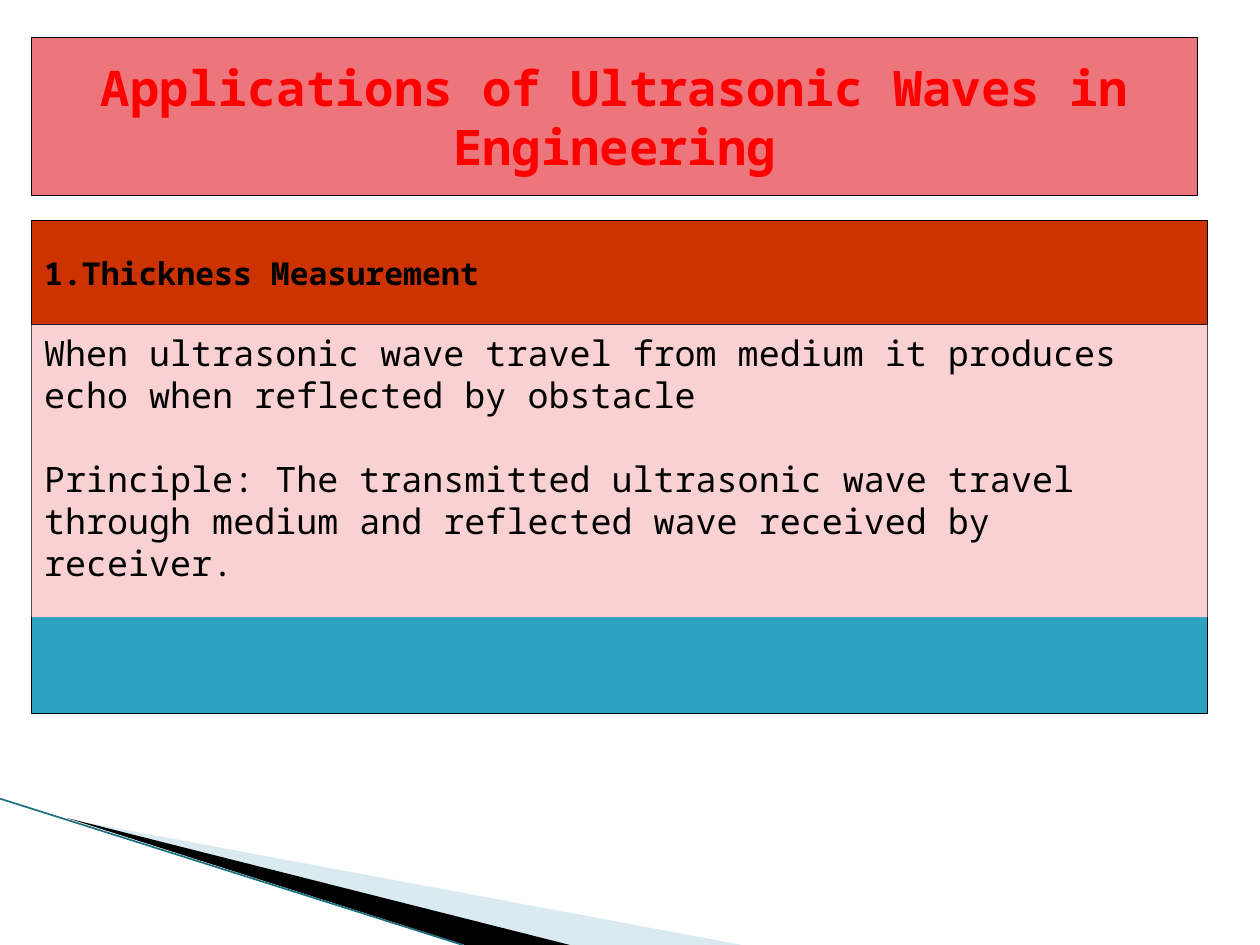
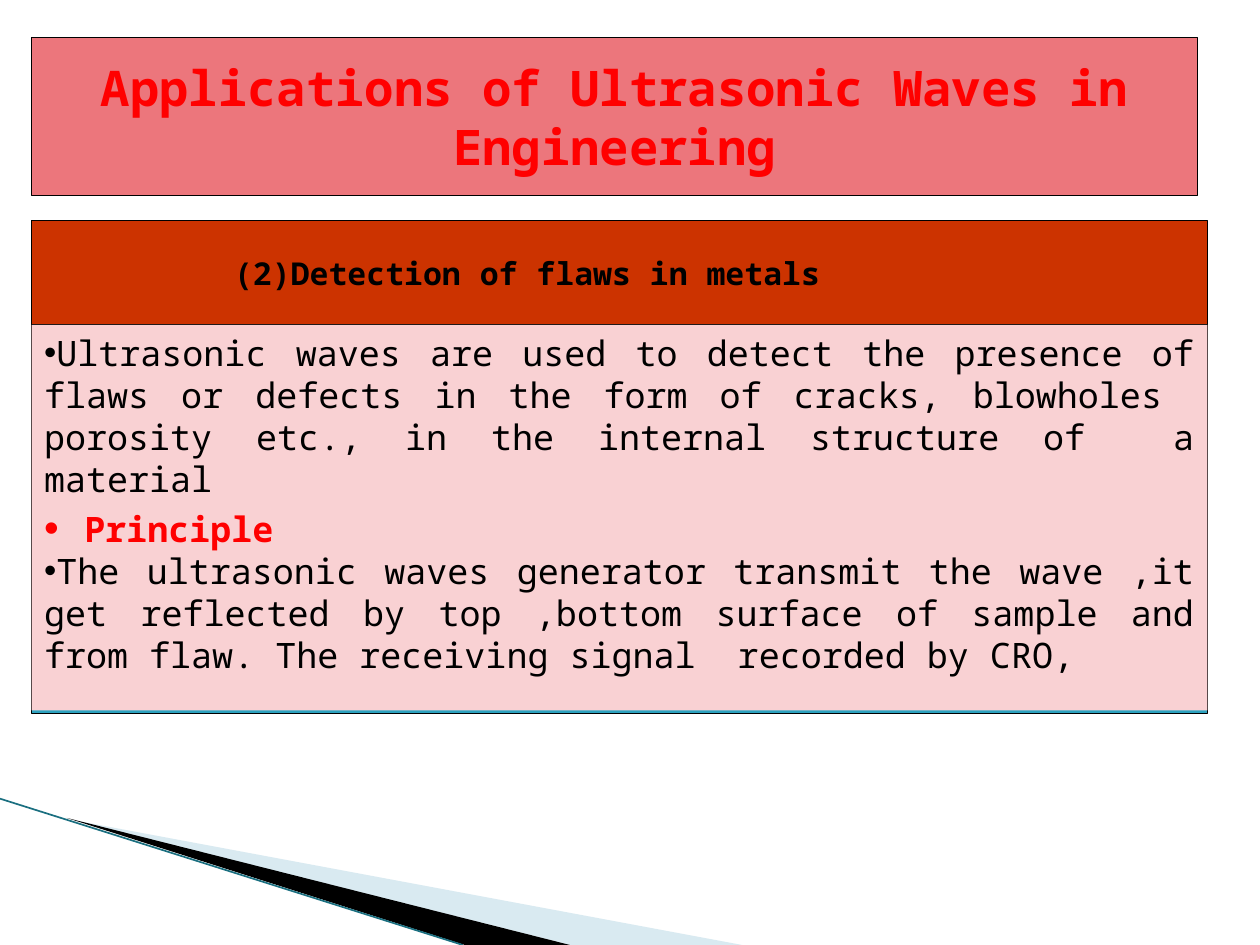
from lxml import etree
from pptx import Presentation
from pptx.dml.color import RGBColor
from pptx.enum.shapes import MSO_CONNECTOR, MSO_SHAPE
from pptx.enum.text import MSO_ANCHOR, MSO_AUTO_SIZE, PP_ALIGN
from pptx.oxml.ns import qn
from pptx.util import Cm, Pt

FONT = "Noto Sans Mono"
BLACK = RGBColor(0x00, 0x00, 0x00)
RED = RGBColor(0xFF, 0x00, 0x00)
ROSE = RGBColor(0xEC, 0x76, 0x7C)
RUST = RGBColor(0xCC, 0x33, 0x00)
TEAL = RGBColor(0x2D, 0xA2, 0xBF)
PINK = RGBColor(0xF9, 0xD1, 0xD3)
PALE_BLUE = RGBColor(0xA0, 0xCB, 0xDC)
DARK_TEAL = RGBColor(0x1A, 0x6F, 0x80)

LEFT, WIDTH = 0.64, 23.7
HEADING_TOP, HEADING_HEIGHT = 4.45, 2.1
BODY_TOP, BODY_HEIGHT = 6.55, 7.83
TITLE = "Applications of Ultrasonic Waves in Engineering"

SLIDES = [
    dict(heading="1.Thickness Measurement", heading_indent=0, text_height=5.89,
         align=PP_ALIGN.LEFT, gap=24, bulleted=False, paragraphs=[
             ("When ultrasonic wave travel from medium it produces echo when "
              "reflected by obstacle", False),
             ("Principle: The transmitted ultrasonic wave travel through medium "
              "and reflected wave received by receiver.", False)]),
    dict(heading="(2)Detection of flaws in metals", heading_indent=3.83, text_height=7.77,
         align=PP_ALIGN.JUSTIFY, gap=0, bulleted=True, paragraphs=[
             ("Ultrasonic waves are used to detect the presence of flaws or defects "
              "in the form of cracks, blowholes  porosity etc., in the internal "
              "structure of  a material", False),
             ("Principle", True),
             ("The ultrasonic waves generator transmit the wave ,it get reflected by "
              "top ,bottom surface of sample and from flaw. The receiving signal  "
              "recorded by CRO,", False)]),
]


def add_panel(s, top, height, color, outlined=True):
    sp = s.shapes.add_shape(MSO_SHAPE.RECTANGLE, Cm(LEFT), Cm(top), Cm(WIDTH), Cm(height))
    sp.shadow.inherit = False
    sp.fill.solid()
    sp.fill.fore_color.rgb = color
    if outlined:
        sp.line.color.rgb = BLACK
        sp.line.width = Pt(0.75)
    else:
        sp.line.fill.background()
    return sp


def write(p, text, size, color, bold, align, spacing):
    p.alignment = align
    p.line_spacing = Pt(spacing)
    r = p.add_run()
    r.text = text
    r.font.name = FONT
    r.font.size = Pt(size)
    r.font.bold = bold
    r.font.color.rgb = color


prs = Presentation()
prs.slide_width, prs.slide_height = Cm(25.4), Cm(19.05)
layout = prs.slide_layouts[5]
slides = [prs.slides.add_slide(layout) for _ in SLIDES]

decor = []
for color, points in [
    (PALE_BLUE, [(1.4, 16.52), (14.96, 19.05), (11.5, 19.05)]),
    (BLACK, [(1.35, 16.49), (11.49, 19.05), (9.37, 19.05)]),
]:
    corners = [(Cm(x), Cm(y)) for x, y in points]
    builder = slides[0].shapes.build_freeform(*corners[0], scale=1.0)
    builder.add_line_segments(corners[1:], close=True)
    sp = builder.convert_to_shape()
    sp.shadow.inherit = False
    sp.fill.solid()
    sp.fill.fore_color.rgb = color
    sp.line.fill.background()
    decor.append(sp)
tint = decor[0].element.spPr.find(qn("a:solidFill"))[0]
etree.SubElement(tint, qn("a:alpha"), val="40000")

edge = slides[0].shapes.add_connector(
    MSO_CONNECTOR.STRAIGHT, Cm(0), Cm(16.1), Cm(9.33), Cm(19.05))
edge.line.color.rgb = DARK_TEAL
edge.line.width = Pt(0.95)
etree.SubElement(edge.element.spPr, qn("a:effectLst"))
decor.append(edge)

for number, sp in enumerate(decor, 101):
    sp.element.xpath(".//p:cNvPr")[0].set("id", str(number))
    layout.shapes.element.append(sp.element)

for s, content in zip(slides, SLIDES):
    title = s.shapes.title
    title.left, title.top, title.width, title.height = Cm(LEFT), Cm(0.76), Cm(23.5), Cm(3.18)
    title.fill.solid()
    title.fill.fore_color.rgb = ROSE
    title.line.color.rgb = BLACK
    title.line.width = Pt(0.75)
    tf = title.text_frame
    tf.auto_size = MSO_AUTO_SIZE.NONE
    tf.word_wrap = True
    tf.vertical_anchor = MSO_ANCHOR.MIDDLE
    write(tf.paragraphs[0], TITLE, 28, RED, True, PP_ALIGN.CENTER, 33.6)

    tf = add_panel(s, HEADING_TOP, HEADING_HEIGHT, RUST).text_frame
    tf.word_wrap = True
    tf.vertical_anchor = MSO_ANCHOR.MIDDLE
    p = tf.paragraphs[0]
    p._p.get_or_add_pPr().set("marL", str(Cm(content["heading_indent"])))
    write(p, content["heading"], 18, BLACK, True, PP_ALIGN.LEFT, 21.6)

    add_panel(s, BODY_TOP, BODY_HEIGHT, TEAL)
    tf = add_panel(s, BODY_TOP, content["text_height"], PINK, outlined=False).text_frame
    tf.word_wrap = True
    tf.vertical_anchor = MSO_ANCHOR.TOP
    for i, (text, key) in enumerate(content["paragraphs"]):
        p = tf.add_paragraph() if i else tf.paragraphs[0]
        if content["bulleted"]:
            pPr = p._p.get_or_add_pPr()
            hang = Cm(0.81) if key else 0
            pPr.set("marL", str(hang))
            pPr.set("indent", str(-hang))
            if key:
                etree.SubElement(pPr, qn("a:buSzPct"), val="120000")
            etree.SubElement(pPr, qn("a:buFont"), typeface="Arial")
            etree.SubElement(pPr, qn("a:buChar"), char="•")
        if i and content["gap"]:
            p.space_before = Pt(content["gap"])
        write(p, text, 20, RED if key else BLACK, key, content["align"], 28.8 if key else 24)

prs.save("out.pptx")
